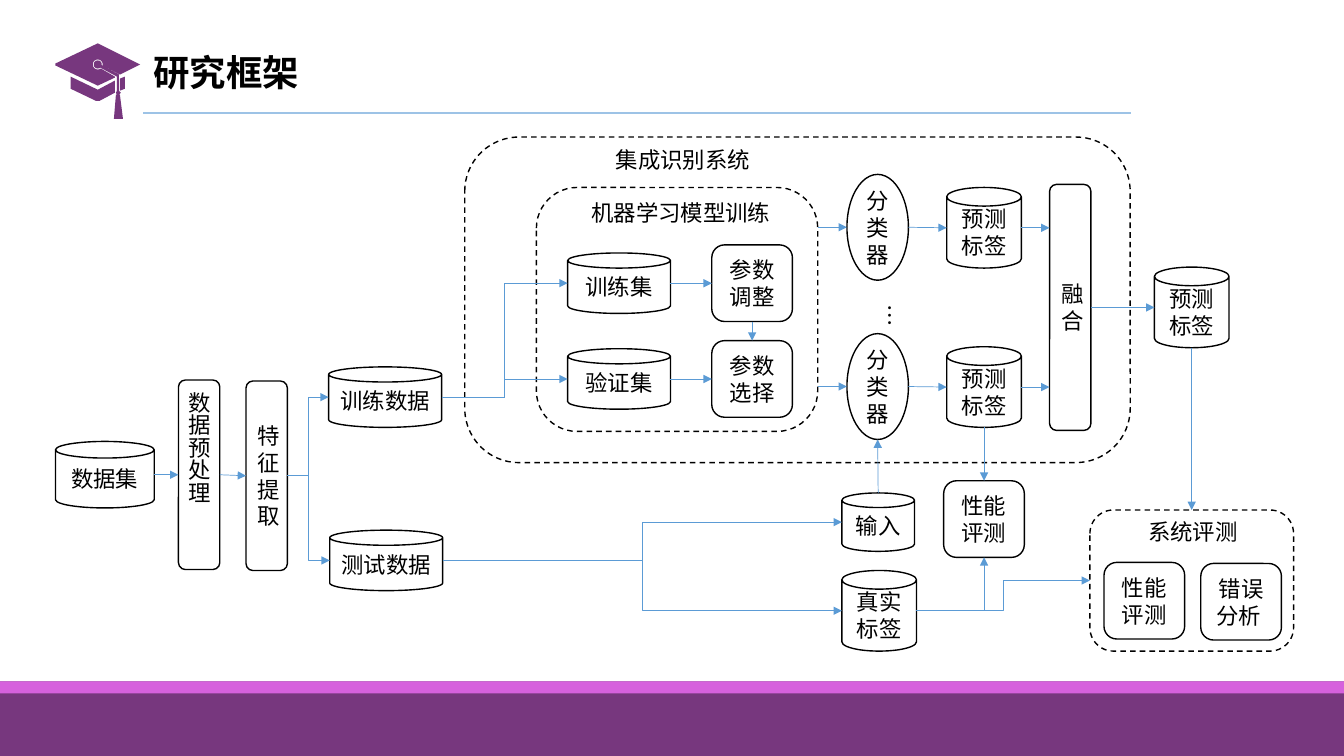
from math import cos, radians, sin

from lxml import etree
from pptx import Presentation
from pptx.dml.color import RGBColor
from pptx.enum.dml import MSO_LINE
from pptx.enum.shapes import MSO_CONNECTOR, MSO_SHAPE
from pptx.enum.text import MSO_ANCHOR, PP_ALIGN
from pptx.oxml.ns import qn
from pptx.util import Inches, Pt

CAN, BOX = MSO_SHAPE.CAN, MSO_SHAPE.ROUNDED_RECTANGLE
OVAL, BAR = MSO_SHAPE.OVAL, MSO_SHAPE.RECTANGLE
STRAIGHT, ELBOW = MSO_CONNECTOR.STRAIGHT, MSO_CONNECTOR.ELBOW
MIDDLE, DASH = MSO_ANCHOR.MIDDLE, MSO_LINE.DASH
LEFT, CENTER = PP_ALIGN.LEFT, PP_ALIGN.CENTER
TOP_SIDE, LEFT_SIDE, BOTTOM_SIDE, RIGHT_SIDE = range(4)

BLACK = RGBColor(0x00, 0x00, 0x00)
PURPLE = RGBColor(0x77, 0x37, 0x7E)
PINK = RGBColor(0xD6, 0x61, 0xDD)
BLUE = RGBColor(0x5B, 0x9B, 0xD5)
PALE_BLUE = RGBColor(0x9D, 0xC3, 0xE6)

FONT = "Noto Sans CJK SC"
LABEL_FORMAT = {"name": FONT, "size": Pt(16), "bold": False}
TITLE_FORMAT = {"name": FONT, "size": Pt(26), "bold": True}


def inches(*lengths):
    """Convert several lengths in inches."""
    return [Inches(length) for length in lengths]


def within(box, part):
    """Move a part's offset and size into its region's box."""
    return box[0] + part[0], box[1] + part[1], part[2], part[3]


def write(frame, text, font_format, align):
    """Write one formatted paragraph into a text frame."""
    paragraph = frame.paragraphs[0]
    paragraph.alignment = align
    run = paragraph.add_run()
    run.text = text
    for attribute, value in font_format.items():
        setattr(run.font, attribute, value)
    run.font.color.rgb = BLACK
    etree.SubElement(run.font._element, qn("a:ea"), typeface=FONT)
    return paragraph


def add_node(slide, kind, box, text="", dash=None, vertical=False):
    """Add an outlined shape with centred text and return its kind, box and shape."""
    shape = slide.shapes.add_shape(kind, *inches(*box))
    shape.shadow.inherit = False
    shape.fill.background()
    shape.line.color.rgb = BLACK
    shape.line.width = Pt(1)
    shape.line.dash_style = dash
    if text:
        frame = shape.text_frame
        frame.vertical_anchor = MIDDLE
        frame.word_wrap = True
        write(frame, text, LABEL_FORMAT, CENTER)
        if vertical:
            frame._txBody.bodyPr.set("vert", "eaVert")
    return kind, box, shape


def add_caption(slide, box, text, vertical=False):
    """Add a caption that does not wrap."""
    frame = slide.shapes.add_textbox(*inches(*box)).text_frame
    frame.word_wrap = False
    write(frame, text, LABEL_FORMAT, LEFT)
    if vertical:
        frame._txBody.bodyPr.set("vert", "eaVert")


def add_line(slide, kind, start, end, color, width, arrow=False):
    """Add a line without shadow, with an arrowhead if asked."""
    line = slide.shapes.add_connector(kind, *inches(*start, *end))
    line.line.color.rgb = color
    line.line.width = Pt(width)
    if arrow:
        etree.SubElement(line.line._get_or_add_ln(), qn("a:tailEnd"), type="triangle")
    etree.SubElement(line._element.spPr, qn("a:effectLst"))
    return line


def arc(radius, start, end):
    """Return points on the cap's button, in hundredths of an inch."""
    angles = [start + (end - start) * step / 16 for step in range(17)]
    return [(42 + radius * cos(radians(a)), 21 + radius * sin(radians(a))) for a in angles]


def draw_cap(slide, left, top):
    """Draw the graduation cap with its corner at the given point."""
    band = [(64, 47), (69, 45), (69, 33), (64, 35)]
    base = [(15, 33), (15, 45), (40, 57), (44, 57), (59, 49), (59, 37), (42, 46)]
    board = [(84, 21), (42, 0), (0, 20), (0, 22), (42, 42), (59, 34), (59, 33),
             *arc(5, 53, 370), (64, 31)]
    cord = [(63, 32), (63, 31), *arc(4, 10, -310), (61, 33)]
    tassel = [(63, 32), (63, 47), (65, 49), (63, 51), (64, 51), (67, 75), (58, 75),
              (60, 51), (61, 51), (60, 49), (61, 47), (61, 33)]
    builder = slide.shapes.build_freeform(scale=Inches(0.01) / 10)
    for outline in (band, base, board, cord, tassel):
        points = [(x * 10, y * 10) for x, y in outline]
        builder.move_to(*points[0])
        builder.add_line_segments(points[1:], close=True)
    cap = builder.convert_to_shape(*inches(left, top))
    cap.shadow.inherit = False
    cap.fill.solid()
    cap.fill.fore_color.rgb = PURPLE
    cap.line.fill.background()


def draw_header(slide, box):
    """Place the title, the cap and the rule below them."""
    left, top, width, height = box
    title = slide.shapes.title
    place = dict(zip(("left", "top", "width", "height"), inches(left + 0.87, top, 5.75, height)))
    for attribute, value in place.items():
        setattr(title, attribute, value)
    title.text_frame.vertical_anchor = MIDDLE
    write(title.text_frame, "研究框架", TITLE_FORMAT, LEFT).line_spacing = 0.9
    draw_cap(slide, left, top + 0.06)
    bottom = top + height
    add_line(slide, STRAIGHT, (left + 0.87, bottom), (left + width, bottom), PALE_BLUE, 1.5)


def draw_preparation(slide, box):
    """Place the data set, its processing steps and its two parts."""
    parts = {
        "dataset": (CAN, (0, 0.74, 0.98, 0.66), "数据集"),
        "preprocess": (BOX, (1.22, 0.13, 0.41, 1.88), "数据预处理", None, True),
        "features": (BOX, (1.89, 0.14, 0.41, 1.88), "特征提取"),
        "train_data": (CAN, (2.71, 0, 1.12, 0.6), "训练数据"),
        "test_data": (CAN, (2.72, 1.62, 1.12, 0.6), "测试数据"),
    }
    return draw_parts(slide, box, parts)


def draw_ensemble(slide, box):
    """Place the recognition system with model training, classifiers and fusion."""
    parts = {
        "ensemble": (BOX, (0, 0, *box[2:]), "", DASH),
        "model": (BOX, (0.71, 0.5, 2.79, 2.42), "", DASH),
        "fusion": (BOX, (5.8, 0.47, 0.41, 2.44), "融合"),
    }
    sets, steps = ("训练集", "验证集"), ("参数调整", "参数选择")
    for row in range(2):
        inner, outer = 0.95 * row, 1.58 * row
        parts[f"set{row}"] = (CAN, (1.02, 1.15 + inner, 1.02, 0.6), sets[row])
        parts[f"step{row}"] = (BOX, (2.45, 1.07 + inner, 0.8, 0.76), steps[row])
        parts[f"classifier{row}"] = (OVAL, (3.79, 0.37 + outer, 0.61, 1.05), "分类器")
        parts[f"label{row}"] = (CAN, (4.78, 0.5 + outer, 0.74, 0.8), "预测标签")
    add_caption(slide, within(box, (1.4, 0.04, 1.55, 0.37)), "集成识别系统")
    add_caption(slide, within(box, (1.16, 0.57, 2, 0.37)), "机器学习模型训练")
    add_caption(slide, within(box, (3.93, 1.56, 0.47, 0.33)), "…", True)
    return draw_parts(slide, box, parts)


def draw_testing(slide, box):
    """Place the test input, the true labels and the classifier evaluation."""
    parts = {
        "input": (CAN, (0, 0.12, 0.72, 0.58), "输入"),
        "truth": (CAN, (0, 0.89, 0.74, 0.8), "真实标签"),
        "performance": (BOX, (1.01, 0, 0.8, 0.76), "性能评测"),
    }
    return draw_parts(slide, box, parts)


def draw_evaluation(slide, box):
    """Place the final labels above the system evaluation."""
    parts = {
        "final": (CAN, (0.64, 0, 0.74, 0.8), "预测标签"),
        "evaluation": (BOX, (0, 2.41, box[2], 1.4), "", DASH),
        "system_performance": (BOX, (0.14, 2.93, 0.8, 0.76), "性能评测"),
        "errors": (BOX, (1.1, 2.94, 0.8, 0.76), "错误分析 "),
    }
    add_caption(slide, within(box, (0.48, 2.44, 1.1, 0.37)), "系统评测")
    return draw_parts(slide, box, parts)


def draw_parts(slide, box, parts):
    """Draw the named parts of a region inside its box."""
    return {name: add_node(slide, kind, within(box, place), *rest)
            for name, (kind, place, *rest) in parts.items()}


def side_middle(box, side):
    """Return the middle of one side of a box."""
    left, top, width, height = box
    return [(left + width / 2, top), (left, top + height / 2),
            (left + width / 2, top + height), (left + width, top + height / 2)][side]


def link(slide, source, target, out=RIGHT_SIDE, into=LEFT_SIDE, kind=STRAIGHT):
    """Join two nodes by an arrow, level with the smaller one if they are offset."""
    ends = [list(side_middle(source[1], out)), list(side_middle(target[1], into))]
    axis = 1 if out in (LEFT_SIDE, RIGHT_SIDE) else 0
    snapped = None
    if kind == STRAIGHT and abs(ends[0][axis] - ends[1][axis]) > 0.1:
        snapped = 0 if source[1][2 + axis] > target[1][2 + axis] else 1
        ends[snapped][axis] = ends[1 - snapped][axis]
    arrow = add_line(slide, kind, *ends, BLUE, 0.5, True)
    if kind == STRAIGHT and source[0] == BOX and snapped != 0:
        arrow.begin_connect(source[2], out)
    if kind == STRAIGHT and target[0] == BOX and snapped != 1:
        arrow.end_connect(target[2], into)
    return arrow


def draw_links(slide, nodes):
    """Draw all arrows of the framework."""
    across = ["dataset preprocess", "preprocess features", "fusion final"]
    for row in range(2):
        across += [f"set{row} step{row}", f"model classifier{row}",
                   f"classifier{row} label{row}", f"label{row} fusion"]
    branches = ["features train_data", "features test_data", "test_data input",
                "test_data truth", "train_data set0", "train_data set1", "truth evaluation"]
    for kind, pairs in ((STRAIGHT, across), (ELBOW, branches)):
        for source, target in map(str.split, pairs):
            link(slide, nodes[source], nodes[target], kind=kind)
    for source, target in (("step0", "step1"), ("final", "evaluation"), ("label1", "performance")):
        link(slide, nodes[source], nodes[target], BOTTOM_SIDE, TOP_SIDE)
    link(slide, nodes["input"], nodes["classifier1"], TOP_SIDE, BOTTOM_SIDE)
    corner = link(slide, nodes["truth"], nodes["performance"], RIGHT_SIDE, BOTTOM_SIDE, ELBOW)
    corner._element.spPr.find(qn("a:prstGeom")).set("prst", "bentConnector2")


def draw_footer(slide, box):
    """Place the purple band with its pink upper edge."""
    left, top, width, height = box
    for color, thickness in ((PURPLE, height), (PINK, 0.12)):
        band = slide.shapes.add_shape(BAR, *inches(left, top, width, thickness))
        band.shadow.inherit = False
        band.fill.solid()
        band.fill.fore_color.rgb = color
        band.line.fill.background()


def main():
    """Build the research framework slide."""
    deck = Presentation()
    deck.slide_width, deck.slide_height = inches(13.33, 7.5)
    slide = deck.slides.add_slide(deck.slide_layouts[5])
    draw_header(slide, (0.55, 0.37, 10.67, 0.75))
    nodes = {
        **draw_preparation(slide, (0.55, 3.64, 3.84, 2.22)),
        **draw_ensemble(slide, (4.61, 1.36, 6.6, 3.23)),
        **draw_testing(slide, (8.35, 4.77, 1.81, 1.69)),
        **draw_evaluation(slide, (10.81, 2.65, 2.02, 3.81)),
    }
    draw_links(slide, nodes)
    draw_footer(slide, (0, 6.76, 13.33, 0.74))
    deck.save("out.pptx")


if __name__ == "__main__":
    main()
